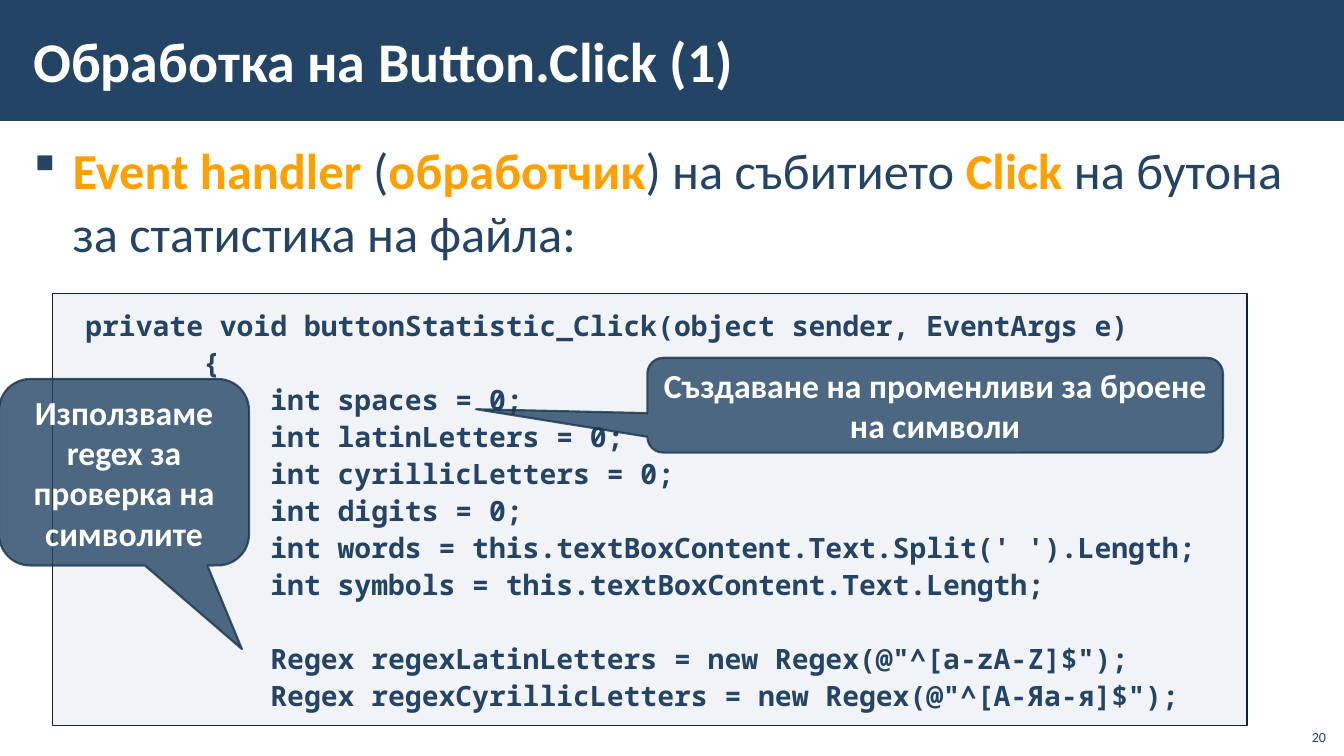
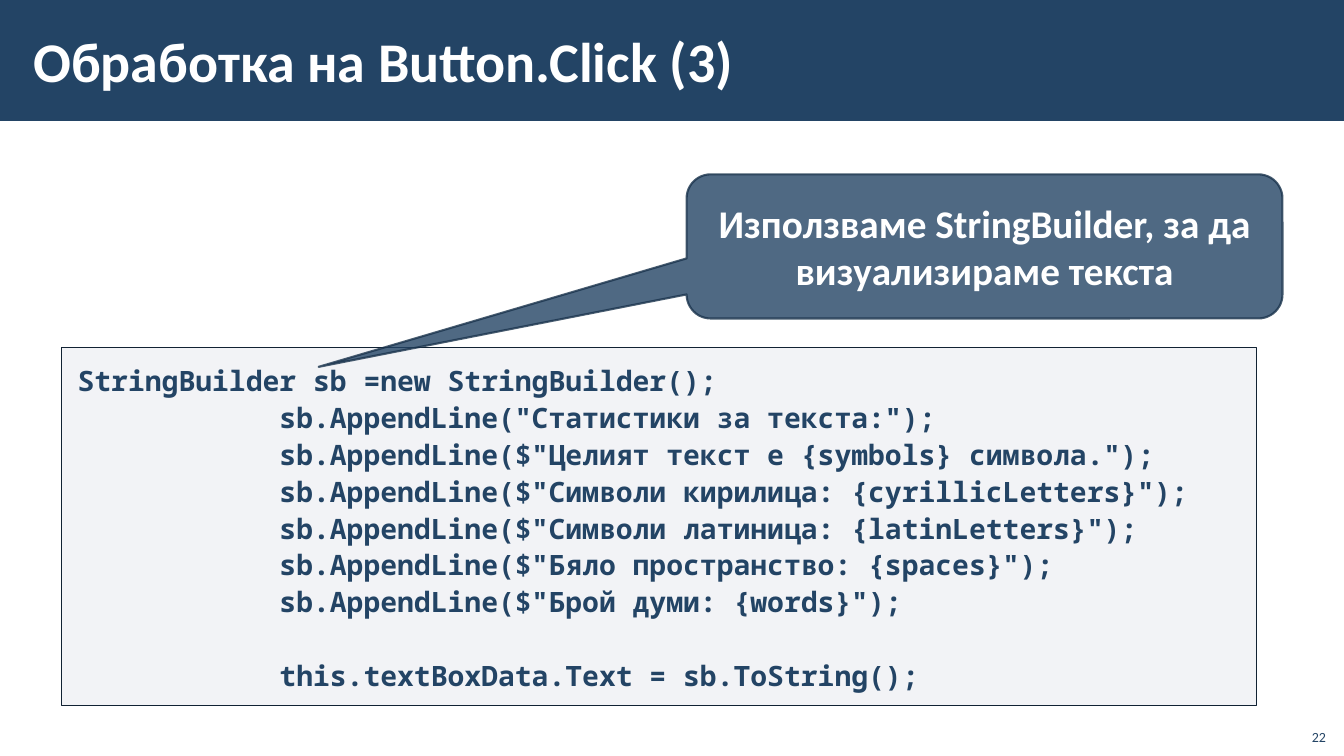
from lxml.etree import SubElement
from pptx import Presentation
from pptx.dml.color import RGBColor
from pptx.enum.shapes import MSO_SHAPE as Shape
from pptx.enum.text import MSO_ANCHOR as Anchor, PP_ALIGN as Align
from pptx.oxml.ns import qn
from pptx.util import Pt

PX = 9144  # EMU in one px, 100 px to the inch
SLIDE_W, SLIDE_H = 1333, 750
BAND_H = 120
COLORS = {
    "navy": "234465",
    "callout_edge": "1A334C",
    "code_fill": "ADB4C3",
    "code_edge": "112233",
    "accent": "FFA000",
    "white": "FFFFFF",
}
TEXT_FONT, CODE_FONT = "Calibri", "Noto Sans Mono"
CODE_LINE_PT = 26.4

HANDLER_CODE = """\
 private void buttonStatistic_Click(object sender, EventArgs e)
        {
            int spaces = 0;
            int latinLetters = 0;
            int cyrillicLetters = 0;
            int digits = 0;
            int words = this.textBoxContent.Text.Split(' ').Length;
            int symbols = this.textBoxContent.Text.Length;

            Regex regexLatinLetters = new Regex(@"^[a-zA-Z]$");
            Regex regexCyrillicLetters = new Regex(@"^[А-Яа-я]$");"""

BUILDER_CODE = """\
StringBuilder sb =new StringBuilder();
            sb.AppendLine("Статистики за текста:");
            sb.AppendLine($"Целият текст е {symbols} символа.");
            sb.AppendLine($"Символи кирилица: {cyrillicLetters}");
            sb.AppendLine($"Символи латиница: {latinLetters}");
            sb.AppendLine($"Бяло пространство: {spaces}");
            sb.AppendLine($"Брой думи: {words}");

            this.textBoxData.Text = sb.ToString();"""


def rgb(name):
    return RGBColor.from_string(COLORS[name])


def emu(box):
    return [length * PX for length in box]


def style(font, size, color, bold=False, face=TEXT_FONT):
    font.name, font.size, font.bold = face, Pt(size), bold
    font.color.rgb = rgb(color)


def set_alpha(color_parent, percent):
    """Make the solid colour under an XML element partly transparent."""
    for color in color_parent.findall(f"{qn('a:solidFill')}/{qn('a:srgbClr')}"):
        SubElement(color, qn("a:alpha"), val=str(percent * 1000))


def set_frame(frame, anchor, side=10, edge=5):
    """Set wrapping, anchor and inner margins; return the first paragraph."""
    frame.word_wrap = True
    frame.vertical_anchor = anchor
    frame.margin_left = frame.margin_right = side * PX
    frame.margin_top = frame.margin_bottom = edge * PX
    return frame.paragraphs[0]


def add_panel(slide, kind, box, fill, edge=None, edge_pt=1, opacity=100, edge_opacity=100):
    panel = slide.shapes.add_shape(kind, *emu(box))
    panel.shadow.inherit = False
    panel.fill.solid()
    panel.fill.fore_color.rgb = rgb(fill)
    properties = panel.element.spPr
    set_alpha(properties, opacity)
    if edge:
        panel.line.color.rgb = rgb(edge)
        panel.line.width = Pt(edge_pt)
        set_alpha(properties.find(qn("a:ln")), edge_opacity)
    else:
        panel.line.fill.background()
    return panel


def add_text(slide, box, anchor, side=10, edge=5):
    frame = slide.shapes.add_textbox(*emu(box)).text_frame
    return set_frame(frame, anchor, side, edge)


def add_base(deck, heading, number):
    """Start a slide with its title band and page number."""
    slide = deck.slides.add_slide(deck.slide_layouts[6])
    add_panel(slide, Shape.RECTANGLE, (0, 0, SLIDE_W, BAND_H), "navy")

    title = add_text(slide, (21, 11, 1063, 97), Anchor.MIDDLE, 12, 4)
    title.text = heading
    style(title.font, 40, "white", bold=True)

    page = add_text(slide, (1285, 712, 40, 32), Anchor.BOTTOM)
    page.text = str(number)
    page.alignment = Align.RIGHT
    style(page.font, 10, "navy")
    return slide


def add_bullet(slide, box, parts):
    """Add one bulleted paragraph; each part is (text, is_highlighted)."""
    bullet = add_text(slide, box, Anchor.TOP, 12, 4)
    bullet.line_spacing = 1.05
    properties = bullet._p.get_or_add_pPr()
    properties.set("marL", str(39 * PX))
    properties.set("indent", str(-39 * PX))
    marker_color = SubElement(properties, qn("a:buClr"))
    SubElement(marker_color, qn("a:srgbClr"), val=COLORS["navy"])
    SubElement(properties, qn("a:buFont"), typeface="Wingdings")
    SubElement(properties, qn("a:buChar"), char="§")
    for text, highlighted in parts:
        run = bullet.add_run()
        run.text = text
        style(run.font, 36, "accent" if highlighted else "navy", highlighted)


def add_code(slide, box, code):
    """Add a code panel; an empty line of code becomes space before the next."""
    panel = add_panel(slide, Shape.RECTANGLE, box, "code_fill", "code_edge", opacity=15)
    frame = panel.text_frame
    line = set_frame(frame, Anchor.TOP, 16, 12)
    for block_index, block in enumerate(code.split("\n\n")):
        for line_index, text in enumerate(block.split("\n")):
            if block_index or line_index:
                line = frame.add_paragraph()
            if block_index and not line_index:
                line.space_before = Pt(CODE_LINE_PT)
            line.text = text
            line.alignment = Align.LEFT
            line.line_spacing = 1.1
            style(line.font, 20, "navy", True, CODE_FONT)


def add_callout(slide, box, tip, text, size=24):
    """Add a speech bubble; tip is its pointer's end, relative to the box."""
    callout = add_panel(slide, Shape.ROUNDED_RECTANGULAR_CALLOUT, box, "navy",
                        "callout_edge", 1.5, 80, 80)
    width, height = box[2:]
    callout.adjustments[0] = tip[0] / width - 0.5
    callout.adjustments[1] = tip[1] / height - 0.5
    note = set_frame(callout.text_frame, Anchor.MIDDLE)
    note.text = text
    note.alignment = Align.CENTER
    style(note.font, size, "white", bold=True)


def build_handler_slide(deck):
    slide = add_base(deck, "Обработка на Button.Click (1)", 20)
    add_bullet(slide, (21, 131, 1292, 605), [
        ("Event handler", True), (" (", False), ("обработчик", True),
        (") на събитието ", False), ("Click", True),
        (" на бутона за статистика на файла:", False),
    ])
    add_code(slide, (52, 291, 1185, 429), HANDLER_CODE)
    add_callout(slide, (642, 355, 571, 94), (-170, 51),
                "Създаване на променливи за броене на символи")
    add_callout(slide, (-1, 376, 248, 185), (241, 268),
                "Използваме regex за проверка на символите")


def build_builder_slide(deck):
    slide = add_base(deck, "Обработка на Button.Click (3)", 22)
    add_code(slide, (61, 345, 1185, 355), BUILDER_CODE)
    add_callout(slide, (681, 173, 591, 143), (-365, 191),
                "Използваме StringBuilder, за да визуализираме текста", 28)


def main():
    deck = Presentation()
    deck.slide_width, deck.slide_height = emu((SLIDE_W, SLIDE_H))
    build_handler_slide(deck)
    build_builder_slide(deck)
    deck.save("out.pptx")


if __name__ == "__main__":
    main()
